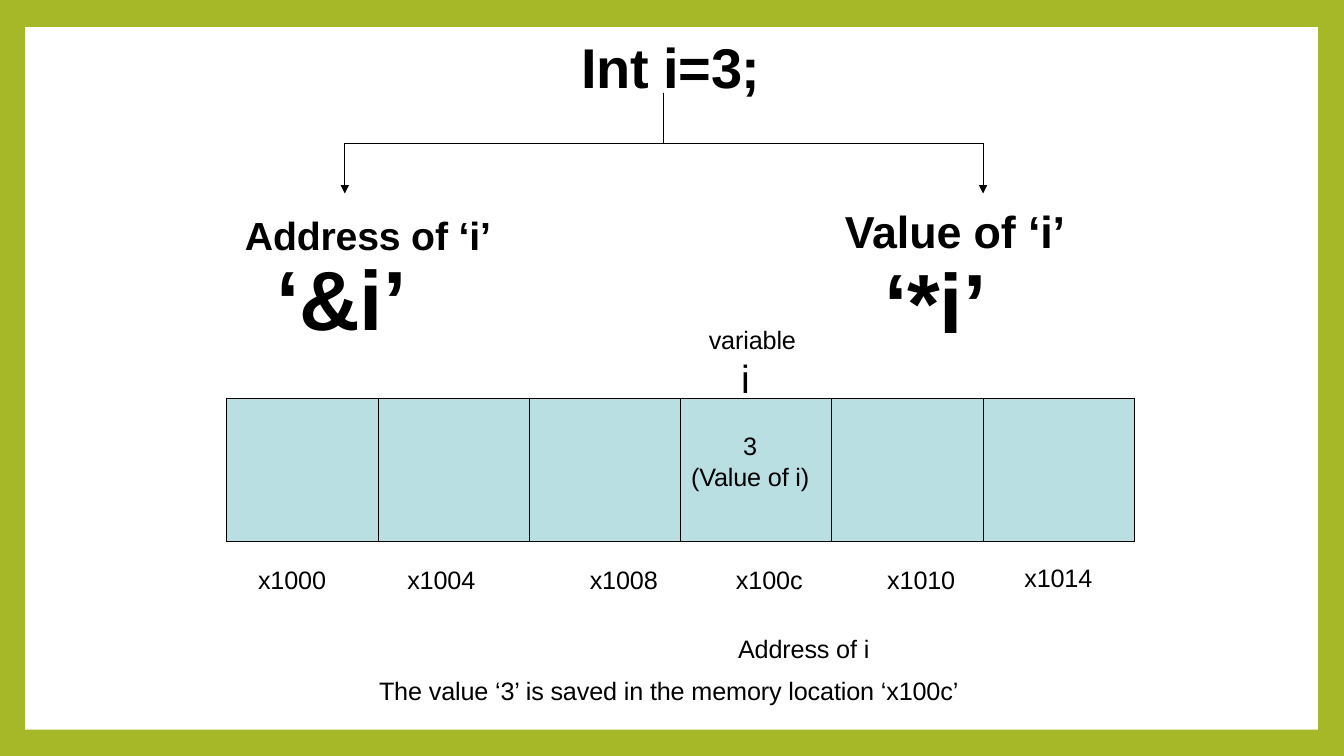
from lxml import etree
from pptx import Presentation
from pptx.dml.color import RGBColor
from pptx.enum import shapes, text
from pptx.oxml.ns import qn
from pptx.util import Inches, Pt


def tint(code):
    return RGBColor.from_string(code)


def write(words, box=None, frame=None, size=18, bold=False, gap=-10,
          align=text.PP_ALIGN.LEFT):
    if frame is None:
        frame = slide.shapes.add_textbox(*map(Inches, box)).text_frame
    frame.word_wrap = True
    frame.vertical_anchor = text.MSO_ANCHOR.TOP
    frame.margin_left = frame.margin_right = 0
    frame.margin_top = frame.margin_bottom = 0
    frame.text = words
    for para in frame.paragraphs:
        para.alignment = align
        for run in para.runs:
            font = run.font
            font.name, font.size, font.bold = "Arial", Pt(size), bold
            font.color.rgb = tint("000000")
            run._r.get_or_add_rPr().set("spc", str(gap))


deck = Presentation()
deck.slide_width, deck.slide_height = Inches(13.33), Inches(7.5)
slide = deck.slides.add_slide(deck.slide_layouts[5])
slide.background.fill.solid()
slide.background.fill.fore_color.rgb = tint("A6B727")

title = slide.shapes.title
title.left, title.top = Inches(5.77), Inches(0.32)
title.width, title.height = Inches(2.16), Inches(0.67)
write("Int i=3;", frame=title.text_frame, size=40, bold=True, gap=-30)

panel = slide.shapes.add_shape(
    shapes.MSO_SHAPE.RECTANGLE, Inches(0.25), Inches(0.27), Inches(12.82), Inches(6.97))
panel.shadow.inherit = False
panel.fill.solid()
panel.fill.fore_color.rgb = tint("FFFFFF")
panel.line.fill.background()
title._element.addprevious(panel._element)

for x1, y1, x2, y2, head in [
    (6.58, 0.92, 6.58, 1.42, False),
    (3.42, 1.42, 9.75, 1.42, False),
    (3.42, 1.42, 3.42, 1.92, True),
    (9.75, 1.42, 9.75, 1.92, True),
]:
    wire = slide.shapes.add_connector(
        shapes.MSO_CONNECTOR.STRAIGHT, Inches(x1), Inches(y1), Inches(x2), Inches(y2))
    wire.line.color.rgb = tint("000000")
    wire.line.width = Pt(0.75)
    if head:
        etree.SubElement(wire.line._get_or_add_ln(), qn("a:tailEnd"), type="triangle")
    etree.SubElement(wire._element.spPr, qn("a:effectLst"))

for words, box, size in [
    ("Address of ‘i’", (2.43, 2.1, 2.6, 0.47), 28),
    ("‘&i’", (2.74, 2.45, 1.93, 1), 60),
    ("Value of ‘i’", (8.38, 2.02, 2.4, 0.54), 32),
    ("‘*i’", (8.77, 2.48, 1.64, 1), 60),
]:
    write(words, box, size=size, bold=True)

table = slide.shapes.add_table(
    1, 6, Inches(2.25), Inches(3.95), Inches(9), Inches(1.42)).table
for cell in table.iter_cells():
    props = cell._tc.get_or_add_tcPr()
    for side in ("lnL", "lnR", "lnT", "lnB"):
        edge = etree.SubElement(props, qn("a:" + side), w=str(Pt(0.75)))
        paint = etree.SubElement(edge, qn("a:solidFill"))
        etree.SubElement(paint, qn("a:srgbClr"), val="000000")
    cell.fill.solid()
    cell.fill.fore_color.rgb = tint("BADFE2")

held = table.cell(0, 3)
write("3\n(Value of i)", frame=held.text_frame, align=text.PP_ALIGN.CENTER)
held.vertical_anchor = text.MSO_ANCHOR.TOP
held.margin_left = held.margin_bottom = 0
held.margin_top, held.margin_right = Inches(0.34), Inches(0.12)
held.text_frame.paragraphs[1].space_before = Pt(2.4)

write("variable", (7.03, 3.22, 0.95, 0.3))
write("i", (7.35, 3.52, 0.2, 0.43), size=28)

for words, left, top in [
    ("x1000", 2.56, 5.6),
    ("x1004", 4.04, 5.6),
    ("x1008", 5.85, 5.6),
    ("x100c", 7.3, 5.6),
    ("x1010", 8.8, 5.6),
    ("x1014", 10.16, 5.58),
]:
    write(words, (left, top, 0.8, 0.3))

write("Address of i", (7.32, 6.28, 1.5, 0.3))
write("The value ‘3’ is saved in the memory location ‘x100c’", (3.76, 6.7, 6.1, 0.3))

deck.save("out.pptx")
